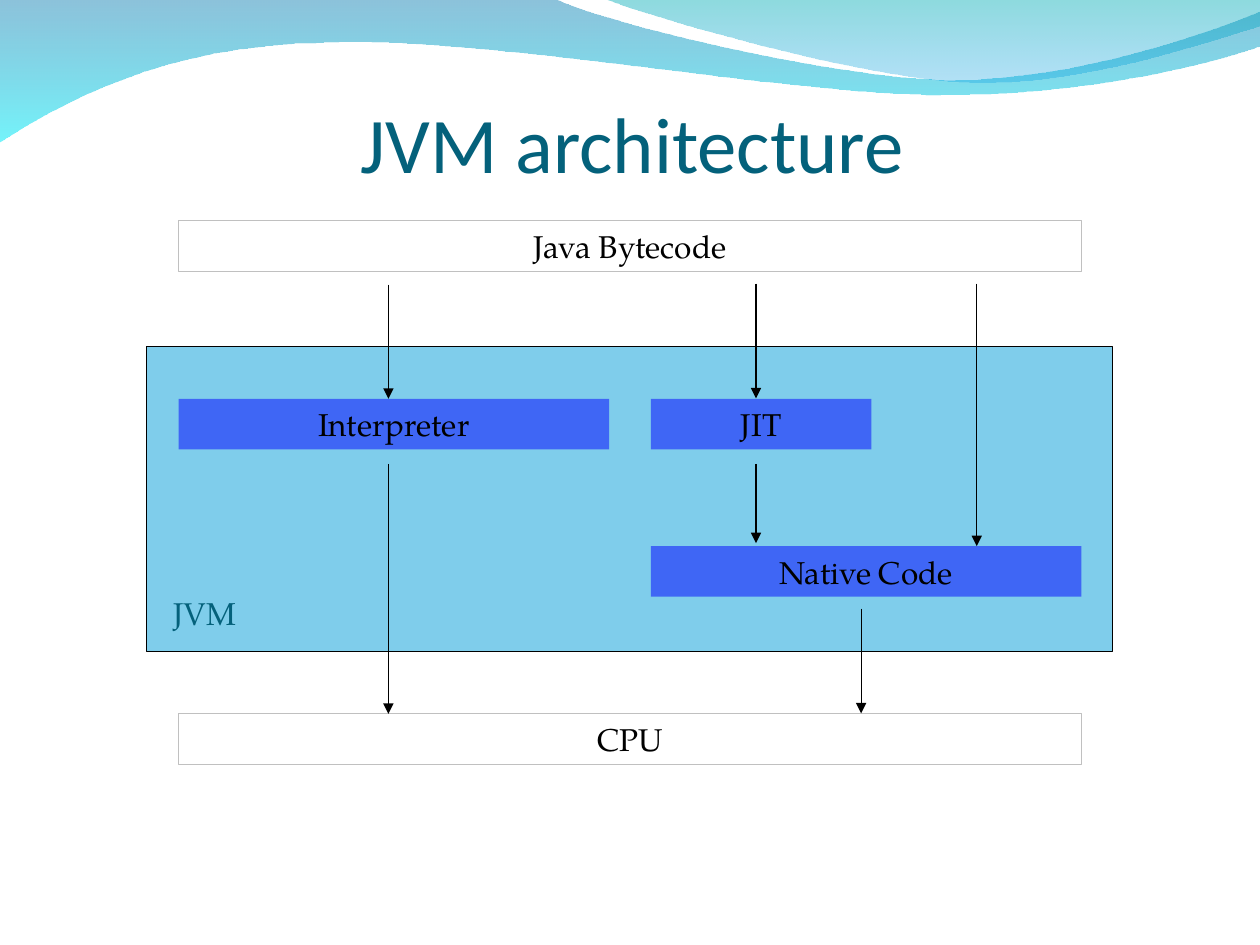
"""Build the JVM architecture slide."""
from dataclasses import dataclass
from itertools import chain

from lxml import etree
from pptx import Presentation
from pptx import util as u
from pptx.dml import color
from pptx.enum import shapes, text
from pptx.oxml import ns

SERIF = "TeX Gyre Pagella"
TEAL = "04617B"
BLACK = "000000"


@dataclass(frozen=True)
class Block:
    left: float
    top: float
    width: float
    height: float = 1.02
    label: str = ""
    fill: str = ""
    line: str = ""


@dataclass(frozen=True)
class Arrow:
    x: float
    start: float
    end: float


@dataclass(frozen=True)
class Wave:
    start: tuple
    segments: tuple
    stops: tuple


WAVES = [
    Wave((0, -0.03), (
        ((11.18, -0.03),),
        ((12.09, 0.43), (16.87, 1.6), (19.25, 1.6)),
        ((21.67, 1.6), (24.33, 0.66), (25.4, 0.23)),
        ((25.43, 0.91),),
        ((24.97, 1.12), (22.1, 1.93), (18.95, 1.91)),
        ((15.8, 1.91), (9.7, 0.71), (6.53, 0.86)),
        ((3.28, 0.89), (1.17, 2.11), (-0.03, 2.87)),
    ), (("0079AF", 45), ("00EBF8", 55))),
    Wave((12.17, -0.03), (
        ((12.93, 0.28), (17.32, 1.57), (19.53, 1.65)),
        ((21.74, 1.75), (24.41, 0.81), (25.4, 0.53)),
        ((25.4, 0),),
    ), (("00ADB6", 45), ("009BE5", 30))),
]

LEFT, MIDDLE = 3.6, 13.12
FULL, HALF = 18.2, 8.68
BLOCKS = [
    Block(2.96, 6.99, 19.47, 6.14, fill="009DD9", line=BLACK),
    Block(LEFT, 4.45, FULL, label="Java Bytecode", line="C0C0C0"),
    Block(LEFT, 8.04, HALF, label="Interpreter", fill="0000FF"),
    Block(MIDDLE, 8.04, 4.45, label="JIT", fill="0000FF"),
    Block(MIDDLE, 11.01, HALF, label="Native Code", fill="0000FF"),
    Block(LEFT, 14.39, FULL, label="CPU", line="C0C0C0"),
]
ARROWS = [
    Arrow(7.83, 5.74, 8.04),
    Arrow(15.24, 5.72, 8.03),
    Arrow(15.24, 9.35, 10.95),
    Arrow(17.36, 12.27, 14.38),
    Arrow(7.83, 9.35, 14.39),
    Arrow(19.69, 5.72, 11.01),
]


def rgb(value: str) -> color.RGBColor:
    return color.RGBColor.from_string(value)


def add_alpha(shape, *percents: int) -> None:
    tints = shape._element.spPr.iter(ns.qn("a:srgbClr"))
    for tint, percent in zip(list(tints), percents):
        etree.SubElement(tint, ns.qn("a:alpha"), val=str(percent * 1000))


def write(frame, words: str, *, font: str = SERIF, size: float = 18, ink: str = BLACK,
          align=text.PP_ALIGN.CENTER, anchor=text.MSO_ANCHOR.MIDDLE):
    frame.word_wrap = True
    frame.auto_size = text.MSO_AUTO_SIZE.NONE
    frame.vertical_anchor = anchor
    para = frame.paragraphs[0]
    para.alignment = align
    span = para.add_run()
    span.text = words
    span.font.name = font
    span.font.size = u.Pt(size)
    span.font.color.rgb = rgb(ink)
    return para


def bend(shape, segments: tuple) -> None:
    """Turn each run of three straight sides into one cubic curve."""
    sides = iter(list(shape._element.spPr.iter(ns.qn("a:lnTo"))))
    for segment in segments:
        group = [next(sides) for _ in segment]
        if len(group) == 3:
            curve = etree.Element(ns.qn("a:cubicBezTo"))
            group[0].addprevious(curve)
            for side in group:
                curve.append(side[0])
                side.getparent().remove(side)


def draw_wave(page, wave: Wave) -> None:
    outline = [wave.start, *chain.from_iterable(wave.segments)]
    points = [(u.Cm(x), u.Cm(y)) for x, y in outline]
    builder = page.shapes.build_freeform(*points[0])
    builder.add_line_segments(points[1:], close=True)
    shape = builder.convert_to_shape()
    bend(shape, wave.segments)
    shape.shadow.inherit = False
    shape.fill.gradient()
    shape.fill.gradient_angle = 270
    for stop, (tint, _) in zip(shape.fill.gradient_stops, wave.stops):
        stop.color.rgb = rgb(tint)
    add_alpha(shape, *(alpha for _, alpha in wave.stops))
    shape.line.fill.background()


def draw_block(page, block: Block) -> None:
    area = map(u.Cm, (block.left, block.top, block.width, block.height))
    box = page.shapes.add_shape(shapes.MSO_SHAPE.RECTANGLE, *area)
    box.shadow.inherit = False
    if block.fill:
        box.fill.solid()
        box.fill.fore_color.rgb = rgb(block.fill)
        add_alpha(box, 50)
    else:
        box.fill.background()
    if block.line:
        box.line.color.rgb = rgb(block.line)
        box.line.width = u.Pt(0.75)
    else:
        box.line.fill.background()
    if block.label:
        write(box.text_frame, block.label)


def draw_arrow(page, arrow: Arrow) -> None:
    ends = map(u.Cm, (arrow.x, arrow.start, arrow.x, arrow.end))
    connector = page.shapes.add_connector(shapes.MSO_CONNECTOR.STRAIGHT, *ends)
    connector.line.color.rgb = rgb(BLACK)
    connector.line.width = u.Pt(0.75)
    etree.SubElement(connector.line._get_or_add_ln(), ns.qn("a:tailEnd"), type="triangle")
    etree.SubElement(connector._element.spPr, ns.qn("a:effectLst"))


def draw_title(page) -> None:
    title = page.shapes.title
    title.left, title.top, title.width, title.height = map(u.Cm, (2.96, 2.33, 21.59, 1.48))
    frame = title.text_frame
    frame.margin_left = frame.margin_right = frame.margin_bottom = 0
    para = write(frame, "JVM architecture", font="Calibri", size=45, ink=TEAL,
                 align=text.PP_ALIGN.LEFT, anchor=text.MSO_ANCHOR.BOTTOM)
    para._p.get_or_add_pPr().set("marL", str(u.Cm(4.31)))


def main() -> None:
    deck = Presentation()
    deck.slide_width, deck.slide_height = u.Cm(25.4), u.Cm(19.05)
    page = deck.slides.add_slide(deck.slide_layouts[5])
    for wave in WAVES:
        draw_wave(page, wave)
    draw_title(page)
    for block in BLOCKS:
        draw_block(page, block)
    for arrow in ARROWS:
        draw_arrow(page, arrow)
    caption = page.shapes.add_textbox(*map(u.Cm, (2.75, 11.85, 2.75, 1.02)))
    write(caption.text_frame, "JVM", ink=TEAL)
    deck.save("out.pptx")


if __name__ == "__main__":
    main()
